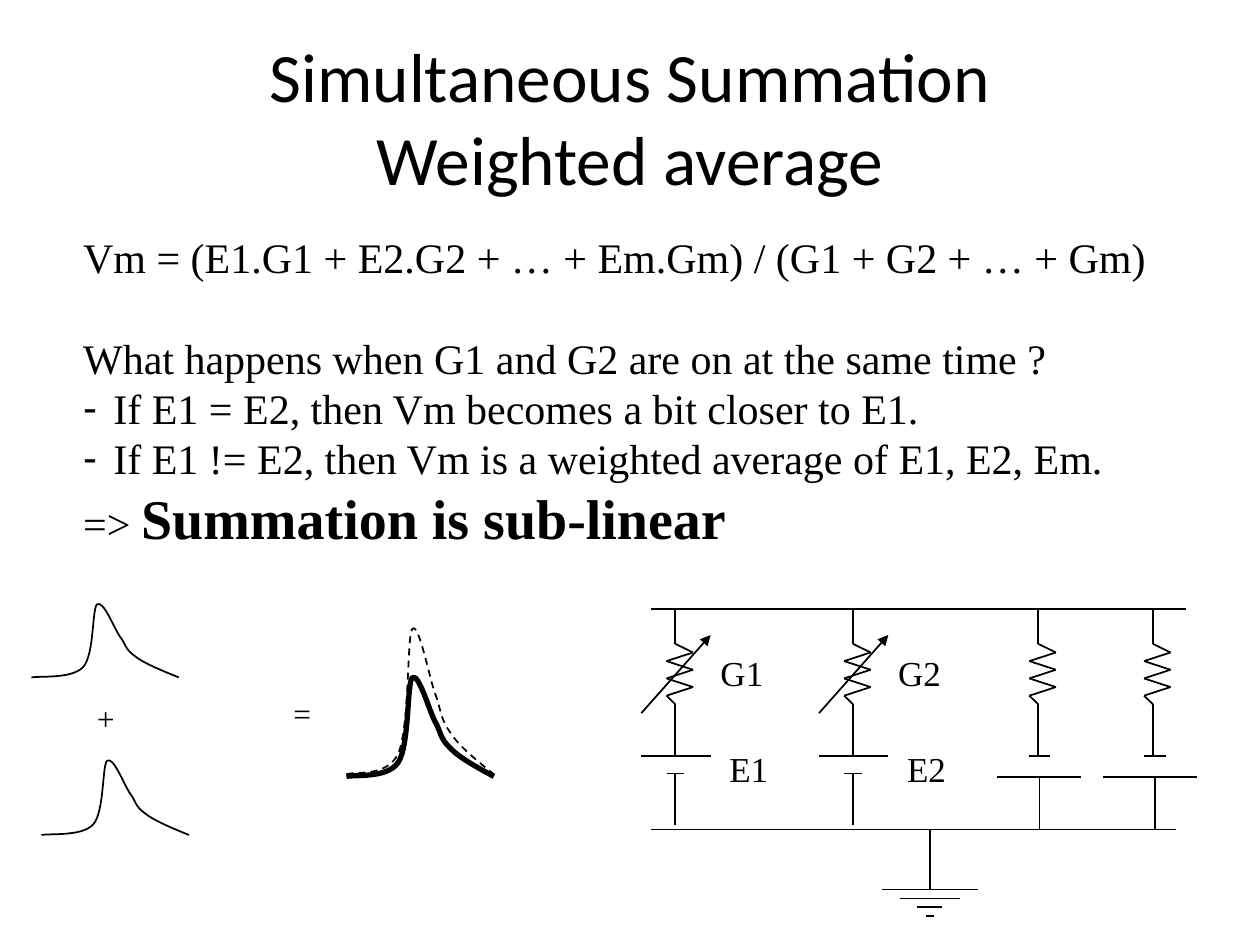
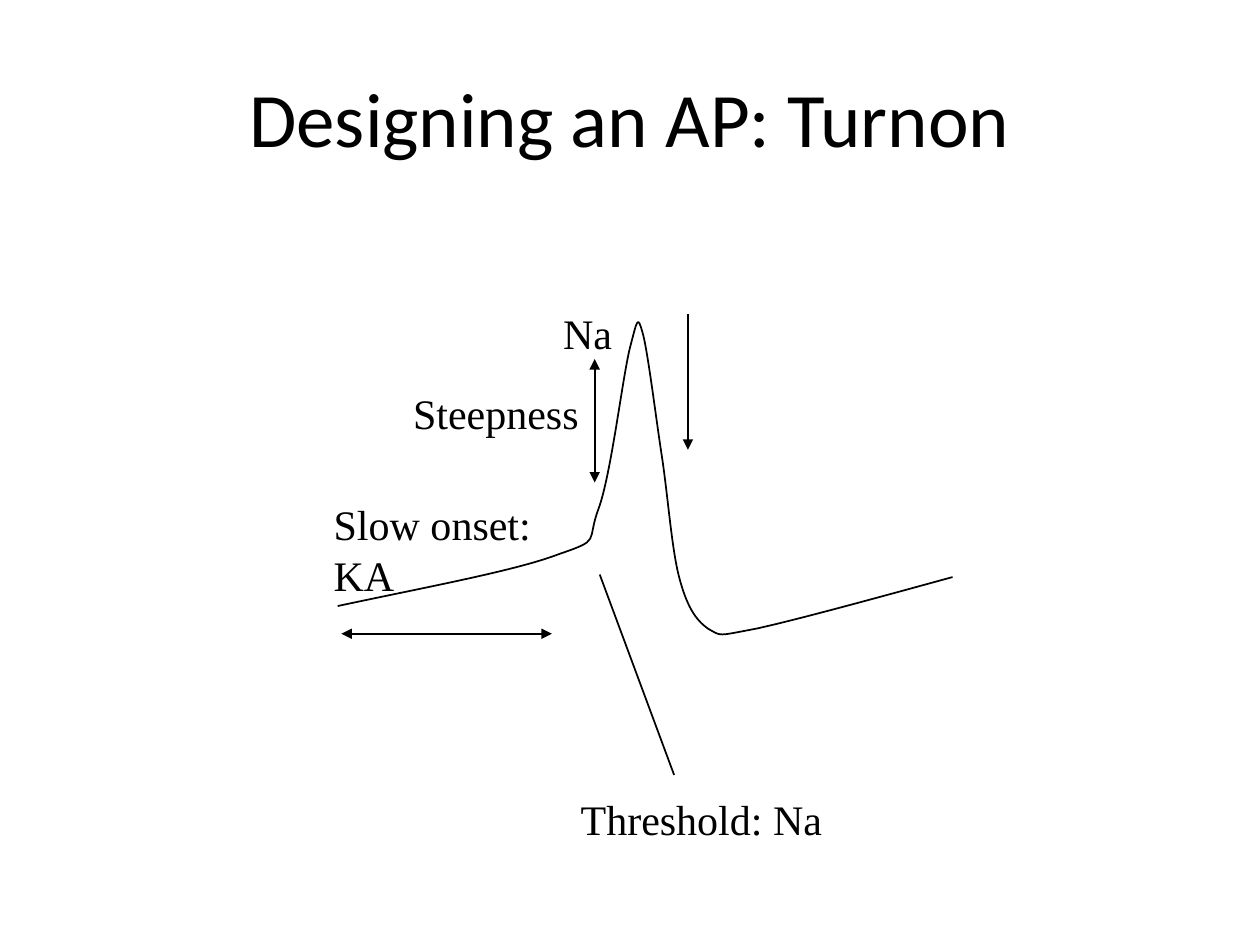
"""Build two slides on synaptic summation and the onset of an action potential."""
from lxml.etree import SubElement
from pptx import Presentation
from pptx.dml.color import RGBColor
from pptx.enum.dml import MSO_LINE
from pptx.enum.shapes import MSO_CONNECTOR
from pptx.enum.text import MSO_AUTO_SIZE
from pptx.oxml.ns import qn
from pptx.util import Inches, Pt

BLACK = RGBColor(0x00, 0x00, 0x00)
SERIF = "Times New Roman"
SANS = "Calibri"


def add_text(p, text, size=24, font=SERIF, bold=False):
    for i, line in enumerate(text.split("\n")):
        if i:
            p.add_line_break()
        r = p.add_run()
        r.text = line
        r.font.size = Pt(size)
        r.font.name = font
        r.font.bold = bold
        r.font.color.rgb = BLACK


def add_line(s, x1, y1, x2, y2, ends=()):
    line = s.shapes.add_connector(
        MSO_CONNECTOR.STRAIGHT, Inches(x1), Inches(y1), Inches(x2), Inches(y2))
    line.line.color.rgb = BLACK
    line.line.width = Pt(1)
    for end in ends:
        SubElement(line.line._get_or_add_ln(), qn(f"a:{end}"), type="triangle")
    SubElement(line._element.spPr, qn("a:effectLst"))


prs = Presentation()
prs.slide_width = Inches(10)
prs.slide_height = Inches(7.5)
summation = prs.slides.add_slide(prs.slide_layouts[1])
turnon = prs.slides.add_slide(prs.slide_layouts[5])

for s, title, size in [
    (summation, "Simultaneous Summation\nWeighted average", 39.6),
    (turnon, "Designing an AP: Turnon", 44),
]:
    sp = s.shapes.title
    sp.left, sp.top, sp.width, sp.height = map(Inches, (0.5, 0.3, 9, 1.25))
    add_text(sp.text_frame.paragraphs[0], title, size, SANS)

body = summation.placeholders[1]
body.left, body.top, body.width, body.height = map(Inches, (0.56, 1.79, 9.27, 3.2))
tf = body.text_frame
tf.auto_size = MSO_AUTO_SIZE.NONE
for i, (text, bullet, gap) in enumerate([
    ("Vm = (E1.G1 + E2.G2 + … + Em.Gm) / (G1 + G2 + … + Gm)", False, 0),
    ("What happens when G1 and G2 are on at the same time ?", False, 28.5),
    ("If E1 = E2, then Vm becomes a bit closer to E1.", True, 0),
    ("If E1 != E2, then Vm is a weighted average of E1, E2, Em.", True, 0),
    ("=> ", False, 0),
]):
    p = tf.add_paragraph() if i else tf.paragraphs[0]
    p.space_before = Pt(gap)
    pPr = p._p.get_or_add_pPr()
    indent = Inches(0.24) if bullet else 0
    pPr.set("marL", str(indent))
    pPr.set("indent", str(-indent))
    if bullet:
        SubElement(pPr, qn("a:buChar"), char="-")
    else:
        SubElement(pPr, qn("a:buNone"))
    add_text(p, text)
add_text(p, "Summation is sub-linear", size=32, bold=True)

RAIL_TOP, RAIL_BOTTOM, PLATE = 58 / 12, 79 / 12, 74 / 12
add_line(summation, 62 / 12, RAIL_TOP, 113 / 12, RAIL_TOP)
add_line(summation, 112 / 12, RAIL_BOTTOM, 62 / 12, RAIL_BOTTOM)

zigzag = [0, 0.14, -0.07, 0.14, -0.07, 0.14, -0.07, 0]
labels = []
for x, number in [(5.36, 1), (6.77, 2), (8.24, None), (9.15, None)]:
    branch = summation.shapes.add_group_shape()
    add_line(branch, x, RAIL_TOP, x, 5.11)
    add_line(branch, x, 5.59, x, 6)
    points = [(x + dx, 5.11 + 0.48 * i / 7) for i, dx in enumerate(zigzag)]
    for start, stop in zip(points, points[1:]):
        add_line(branch, *start, *stop)
    if number:
        add_line(branch, x - 0.27, 6, x + 0.28, 6)
        add_line(branch, x - 0.07, 6.14, x + 0.07, 6.14)
        add_line(branch, x, 6.14, x, 6.55)
        add_line(branch, x - 0.27, 5.66, x + 0.28, 5.04, ["tailEnd"])
        labels += [(branch, f"E{number}", x + 0.33, 5.88, 0.51, 0.43, 20),
                   (branch, f"G{number}", x + 0.26, 5.12, 0.54, 0.43, 20)]

for x, left, right in [(99 / 12, 95 / 12, 103 / 12), (110 / 12, 105 / 12, 114 / 12)]:
    add_line(summation, x - 1 / 12, 6, x + 1 / 12, 6)
    add_line(summation, left, PLATE, right, PLATE)
    add_line(summation, x, PLATE, x, RAIL_BOTTOM)

ground = summation.shapes.add_group_shape()
add_line(ground, 7.38, RAIL_BOTTOM, 7.38, 7.06)
for i, half in enumerate([0.38, 0.24, 0.1, 0.03]):
    y = 7.06 + 0.07 * i
    add_line(ground, 7.38 - half, y, 7.38 + half, y)

add_line(turnon, 2.71, 5.03, 4.38, 5.03, ["headEnd", "tailEnd"])
add_line(turnon, 4.72, 3.83, 4.72, 2.85, ["headEnd", "tailEnd"])
add_line(turnon, 5.46, 2.49, 5.46, 3.57, ["tailEnd"])
add_line(turnon, 4.76, 4.56, 5.35, 6.15)

labels += [
    (summation, "+", 0.67, 5.5, 0.35, 0.4, 18),
    (summation, "=", 2.23, 5.46, 0.35, 0.4, 18),
    (turnon, "Na", 4.37, 2.39, 0.59, 0.5, 24),
    (turnon, "Steepness", 3.18, 3.03, 1.52, 0.5, 24),
    (turnon, "Slow onset:\nKA", 2.55, 3.91, 1.77, 0.9, 24),
    (turnon, "Threshold: Na", 4.51, 6.25, 2.12, 0.5, 24),
]
for s, text, x, y, w, h, size in labels:
    tf = s.shapes.add_textbox(Inches(x), Inches(y), Inches(w), Inches(h)).text_frame
    tf.word_wrap = False
    tf.auto_size = MSO_AUTO_SIZE.SHAPE_TO_FIT_TEXT
    for i, line in enumerate(text.split("\n")):
        add_text(tf.add_paragraph() if i else tf.paragraphs[0], line, size)

epsp = [
    (0, 0.98), (0.07, 0.96), (0.32, 1), (0.41, 0.85),
    (0.5, 0.69), (0.48, 0.13), (0.52, 0.06),
    (0.57, 0), (0.65, 0.34), (0.7, 0.46),
    (0.75, 0.56), (0.74, 0.62), (0.82, 0.71),
    (0.89, 0.8), (1.03, 0.89), (1.17, 0.98),
]
action_potential = [
    (2.68, 4.81), (3.38, 4.66), (4.09, 4.53), (4.43, 4.4),
    (4.78, 4.28), (4.65, 4.31), (4.75, 4.04),
    (4.85, 3.77), (4.94, 3), (5, 2.76),
    (5.06, 2.53), (5.06, 2.5), (5.1, 2.64),
    (5.14, 2.78), (5.2, 3.27), (5.25, 3.6),
    (5.3, 3.92), (5.33, 4.35), (5.39, 4.58),
    (5.45, 4.81), (5.52, 4.92), (5.62, 4.99),
    (5.73, 5.05), (5.68, 5.05), (6, 4.99),
    (6.32, 4.92), (6.94, 4.75), (7.56, 4.58),
]
for s, controls, left, top, height, weight, dash in [
    (summation, epsp, 0.25, 4.76, 0.63, 1, None),
    (summation, epsp, 0.33, 6, 0.64, 1, None),
    (summation, epsp, 2.75, 5.33, 0.85, 3, None),
    (summation, epsp, 2.75, 4.92, 1.25, 1, MSO_LINE.DASH),
    (turnon, action_potential, 0, 0, 1, 1, None),
]:
    nodes = [(Inches(left + x), Inches(top + y * height)) for x, y in controls]
    builder = s.shapes.build_freeform(*nodes[0])
    builder.add_line_segments(nodes[1:], close=False)
    curve = builder.convert_to_shape()
    segments = list(curve._element.iter(qn("a:lnTo")))
    outline = segments[0].getparent()
    for i in range(0, len(segments), 3):
        bezier = SubElement(outline, qn("a:cubicBezTo"))
        for segment in segments[i:i + 3]:
            bezier.append(segment[0])
            outline.remove(segment)
    curve.shadow.inherit = False
    curve.fill.background()
    curve.line.color.rgb = BLACK
    curve.line.width = Pt(weight)
    if dash:
        curve.line.dash_style = dash

prs.save("out.pptx")
